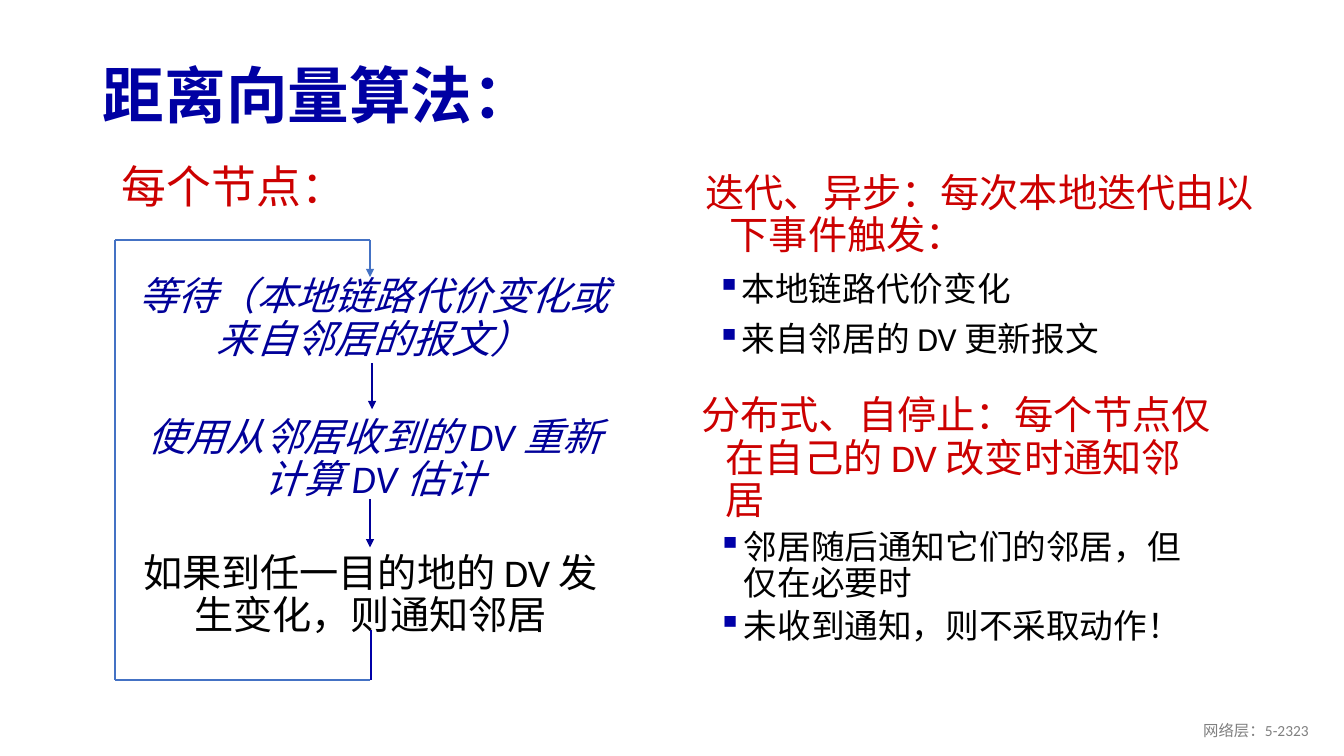
from lxml import etree
from pptx import Presentation
from pptx import util as u
from pptx.dml.color import RGBColor
from pptx.enum import shapes, text
from pptx.oxml.ns import qn

COLORS = {
    "title": "0000A3",
    "heading": "CC0000",
    "step": "000099",
    "return": "0000A8",
    "loop": "4472C4",
    "body": "000000",
    "footer": "808080",
}


class SlideBuilder:
    """Hold the style and the current slide, and add its elements."""

    font = "Calibri"

    def __init__(self, presentation):
        self.slide = presentation.slides.add_slide(presentation.slide_layouts[5])

    def color(self, name):
        return RGBColor.from_string(COLORS[name])

    def place(self, shape, left, top, width, height):
        shape.left, shape.top = u.Inches(left), u.Inches(top)
        shape.width, shape.height = u.Inches(width), u.Inches(height)

    def add_words(self, paragraph, words, size, color, bold=False, italic=False,
                  align=text.PP_ALIGN.LEFT, spacing=0.9):
        paragraph.alignment = align
        paragraph.line_spacing = spacing
        run = paragraph.add_run()
        run.text = words
        run.font.name = self.font
        run.font.size = u.Pt(size)
        run.font.bold = bold
        run.font.italic = italic
        run.font.color.rgb = self.color(color)

    def indent(self, paragraph, margin, hanging):
        properties = paragraph._p.get_or_add_pPr()
        properties.set("marL", str(u.Inches(margin)))
        properties.set("indent", str(u.Inches(-hanging)))
        return properties

    def bullet(self, paragraph, margin, hanging, color):
        properties = self.indent(paragraph, margin, hanging)
        bullet_color = etree.SubElement(properties, qn("a:buClr"))
        etree.SubElement(bullet_color, qn("a:srgbClr"), val=COLORS[color])
        etree.SubElement(properties, qn("a:buChar"), char="▪")

    def title(self, words, *box):
        shape = self.slide.shapes.title
        self.place(shape, *box)
        frame = shape.text_frame
        frame.word_wrap = True
        frame.auto_size = text.MSO_AUTO_SIZE.NONE
        frame.vertical_anchor = text.MSO_ANCHOR.MIDDLE
        self.add_words(frame.paragraphs[0], words, 44, "title", bold=True)

    def text_frame(self, *box):
        shape = self.slide.shapes.add_textbox(*map(u.Inches, box))
        shape.text_frame.word_wrap = True
        return shape.text_frame

    def label(self, words, box, size, color, anchor=text.MSO_ANCHOR.TOP, **style):
        frame = self.text_frame(*box)
        frame.vertical_anchor = anchor
        self.add_words(frame.paragraphs[0], words, size, color, **style)

    def topic(self, heading, items, box, margin, hanging, color, space, level):
        frame = self.text_frame(*box)
        self.indent(frame.paragraphs[0], 0.39, 0.24)
        self.add_words(frame.paragraphs[0], heading, 28, "heading")
        for item in items:
            paragraph = frame.add_paragraph()
            paragraph.level = level
            self.bullet(paragraph, margin, hanging, color)
            paragraph.space_before = u.Pt(space)
            self.add_words(paragraph, item, 24, "body")

    def line(self, start, end, color, arrow=False):
        connector = self.slide.shapes.add_connector(
            shapes.MSO_CONNECTOR.STRAIGHT, *map(u.Inches, (*start, *end)))
        connector.line.color.rgb = self.color(color)
        connector.line.width = u.Pt(1.5)
        properties = connector._element.spPr
        if arrow:
            etree.SubElement(properties.find(qn("a:ln")), qn("a:tailEnd"), type="triangle")
        etree.SubElement(properties, qn("a:effectLst"))


def main():
    presentation = Presentation()
    presentation.slide_width = u.Inches(13.33)
    presentation.slide_height = u.Inches(7.5)
    builder = SlideBuilder(presentation)

    builder.title("距离向量算法：", 0.92, 0.49, 11.5, 0.98)
    builder.label("网络层：5-2323", (10.08, 7.05, 3, 0.4), 11, "footer",
                  anchor=text.MSO_ANCHOR.MIDDLE, align=text.PP_ALIGN.RIGHT, spacing=1)
    builder.label("每个节点：", (1.07, 1.53, 2.5, 0.64), 32, "heading",
                  align=text.PP_ALIGN.CENTER, spacing=1)

    builder.topic("迭代、异步：每次本地迭代由以下事件触发：",
                  ["本地链路代价变化", "来自邻居的 DV 更新报文"],
                  (6.75, 1.67, 5.91, 2.16), 0.5, 0.24, "title", space=10, level=0)
    builder.topic("分布式、自停止：每个节点仅在自己的 DV 改变时通知邻居",
                  ["邻居随后通知它们的邻居，但仅在必要时", "未收到通知，则不采取动作！"],
                  (6.71, 3.88, 5.4, 3.19), 0.57, 0.26, "return", space=5, level=1)

    steps = [
        ("等待（本地链路代价变化或来自邻居的报文）", 1.18, 2.7, "step", True),
        ("使用从邻居收到的 DV 重新计算 DV 估计", 1.19, 4.09, "step", True),
        ("如果到任一目的地的 DV 发生变化，则通知邻居", 1.15, 5.44, "body", False),
    ]
    for words, left, top, color, italic in steps:
        builder.label(words, (left, top, 5.05, 0.93), 28, color,
                      italic=italic, align=text.PP_ALIGN.CENTER)

    loop_left, loop_right, loop_top, loop_bottom = 1.14, 3.67, 2.38, 6.75
    builder.line((3.69, 3.6), (3.69, 4.06), "step", arrow=True)
    builder.line((loop_right, 4.95), (loop_right, 5.43), "step", arrow=True)
    builder.line((3.68, loop_bottom), (3.68, 6.25), "return")
    builder.line((loop_right, loop_top), (loop_right, 2.75), "loop", arrow=True)
    for y in (loop_bottom, loop_top):
        builder.line((loop_left, y), (loop_right, y), "loop")
    builder.line((loop_left, loop_top), (loop_left, loop_bottom), "loop")

    presentation.save("out.pptx")


if __name__ == "__main__":
    main()
